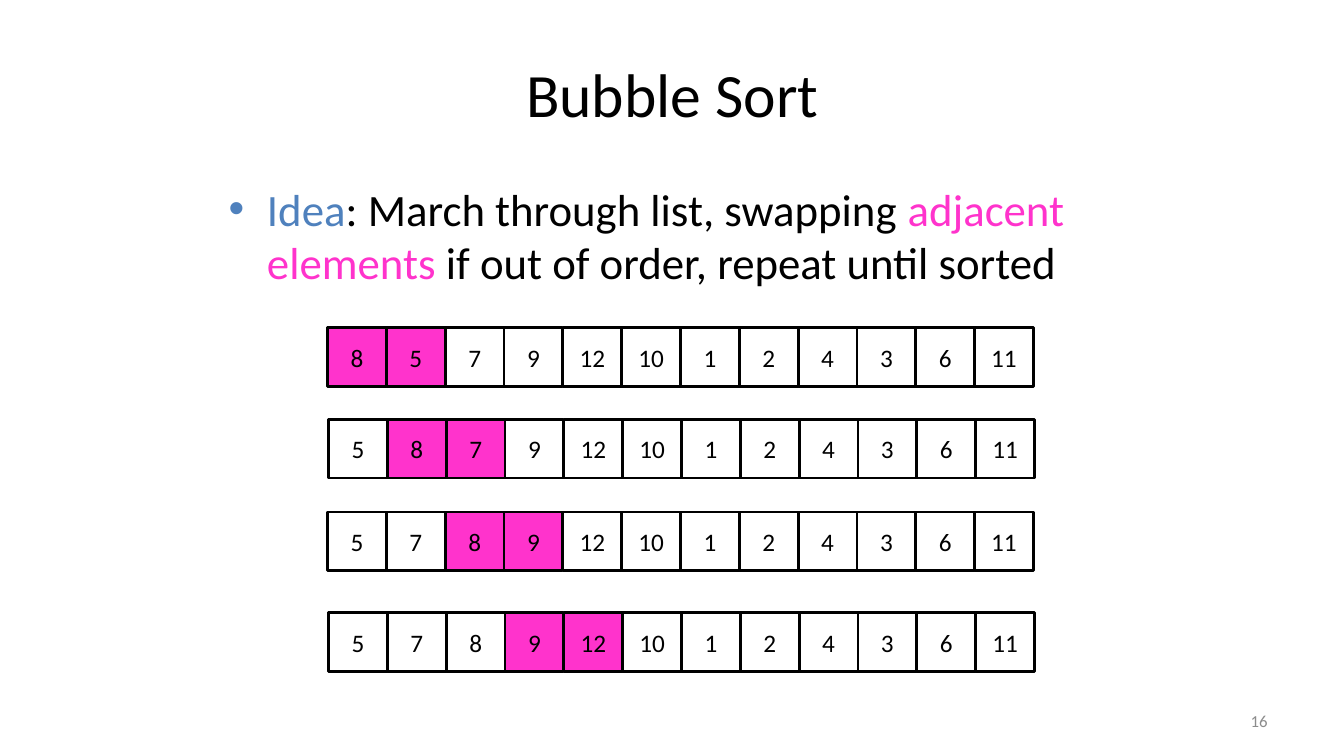
import dataclasses

import lxml.etree
import pptx
import pptx.dml.color
import pptx.enum.shapes
import pptx.enum.text
import pptx.oxml.ns
import pptx.util

ALIGN = pptx.enum.text.PP_ALIGN
ANCHOR = pptx.enum.text.MSO_ANCHOR
Inches = pptx.util.Inches


@dataclasses.dataclass(frozen=True)
class Theme:
    font: str = "Calibri"
    ink: str = "000000"
    accent: str = "4F81BD"
    highlight: str = "FF33CC"
    muted: str = "8C8C8C"
    title_size: int = 44
    body_size: int = 32
    cell_size: int = 18
    number_size: int = 12
    border: int = 2


THEME = Theme()
SLIDE_WIDTH, SLIDE_HEIGHT = 13.33, 7.5
CELL = 0.58 + 0.01 / 3
ROW_TOPS = (3.25, 4.16, 5.08, 6.08)
ROW_LEFTS = (3.25, 3.26, 3.25, 3.26)
START_LIST = (8, 5, 7, 9, 12, 10, 1, 2, 4, 3, 6, 11)


def rgb(colour):
    return pptx.dml.color.RGBColor.from_string(colour)


def write_runs(frame, runs, size, align, anchor):
    """Fill the frame's first paragraph with (text, colour) runs."""
    frame.word_wrap = True
    frame.vertical_anchor = anchor
    paragraph = frame.paragraphs[0]
    paragraph.alignment = align
    for text, colour in runs:
        run = paragraph.add_run()
        run.text = text
        run.font.name = THEME.font
        run.font.size = pptx.util.Pt(size)
        run.font.color.rgb = rgb(colour)
    return paragraph


def add_text(slide, box, runs, size, align, anchor=ANCHOR.MIDDLE):
    shape = slide.shapes.add_textbox(*map(Inches, box))
    return write_runs(shape.text_frame, runs, size, align, anchor)


def set_bullet(paragraph, indent):
    properties = paragraph._p.get_or_add_pPr()
    properties.set("marL", str(Inches(indent)))
    properties.set("indent", str(-Inches(indent)))
    qn = pptx.oxml.ns.qn
    spacing = lxml.etree.SubElement(properties, qn("a:spcBef"))
    lxml.etree.SubElement(spacing, qn("a:spcPct"), val="20000")
    lxml.etree.SubElement(properties, qn("a:buFont"), typeface="Arial")
    lxml.etree.SubElement(properties, qn("a:buChar"), char="•")


def add_title(slide, box):
    add_text(slide, box, [("Bubble Sort", THEME.ink)], THEME.title_size, ALIGN.CENTER)


def add_idea(slide, box):
    runs = [
        ("Idea", THEME.accent),
        (": March through list, swapping ", THEME.ink),
        ("adjacent elements", THEME.highlight),
        (" if out of order, repeat until sorted", THEME.ink),
    ]
    paragraph = add_text(slide, box, runs, THEME.body_size, ALIGN.LEFT, ANCHOR.TOP)
    set_bullet(paragraph, 0.38)


def add_page_number(slide, box):
    add_text(slide, box, [("16", THEME.muted)], THEME.number_size, ALIGN.RIGHT)


def add_list_row(slide, left, top, values, compared):
    """Draw one state of the list as a group, with the compared cells filled."""
    group = slide.shapes.add_group_shape()
    for column, value in enumerate(values):
        box = (left + column * CELL, top, CELL, CELL)
        cell = group.shapes.add_shape(
            pptx.enum.shapes.MSO_SHAPE.RECTANGLE, *map(Inches, box))
        cell.shadow.inherit = False
        if column in compared:
            cell.fill.solid()
            cell.fill.fore_color.rgb = rgb(THEME.highlight)
        else:
            cell.fill.background()
        cell.line.color.rgb = rgb(THEME.ink)
        cell.line.width = pptx.util.Pt(THEME.border)
        write_runs(cell.text_frame, [(str(value), THEME.ink)],
                   THEME.cell_size, ALIGN.CENTER, ANCHOR.MIDDLE)


def add_sort_steps(slide):
    """Draw each step, then swap the compared pair if it is out of order."""
    values = list(START_LIST)
    for step, (left, top) in enumerate(zip(ROW_LEFTS, ROW_TOPS)):
        add_list_row(slide, left, top, values, (step, step + 1))
        values[step:step + 2] = sorted(values[step:step + 2])


def main():
    presentation = pptx.Presentation()
    presentation.slide_width = Inches(SLIDE_WIDTH)
    presentation.slide_height = Inches(SLIDE_HEIGHT)
    slide = presentation.slides.add_slide(presentation.slide_layouts[6])
    add_title(slide, (0.67, 0.3, 12, 1.25))
    add_idea(slide, (2.17, 1.75, 9, 1.17))
    add_page_number(slide, (9.56, 6.95, 3.11, 0.4))
    add_sort_steps(slide)
    presentation.save("out.pptx")


if __name__ == "__main__":
    main()
